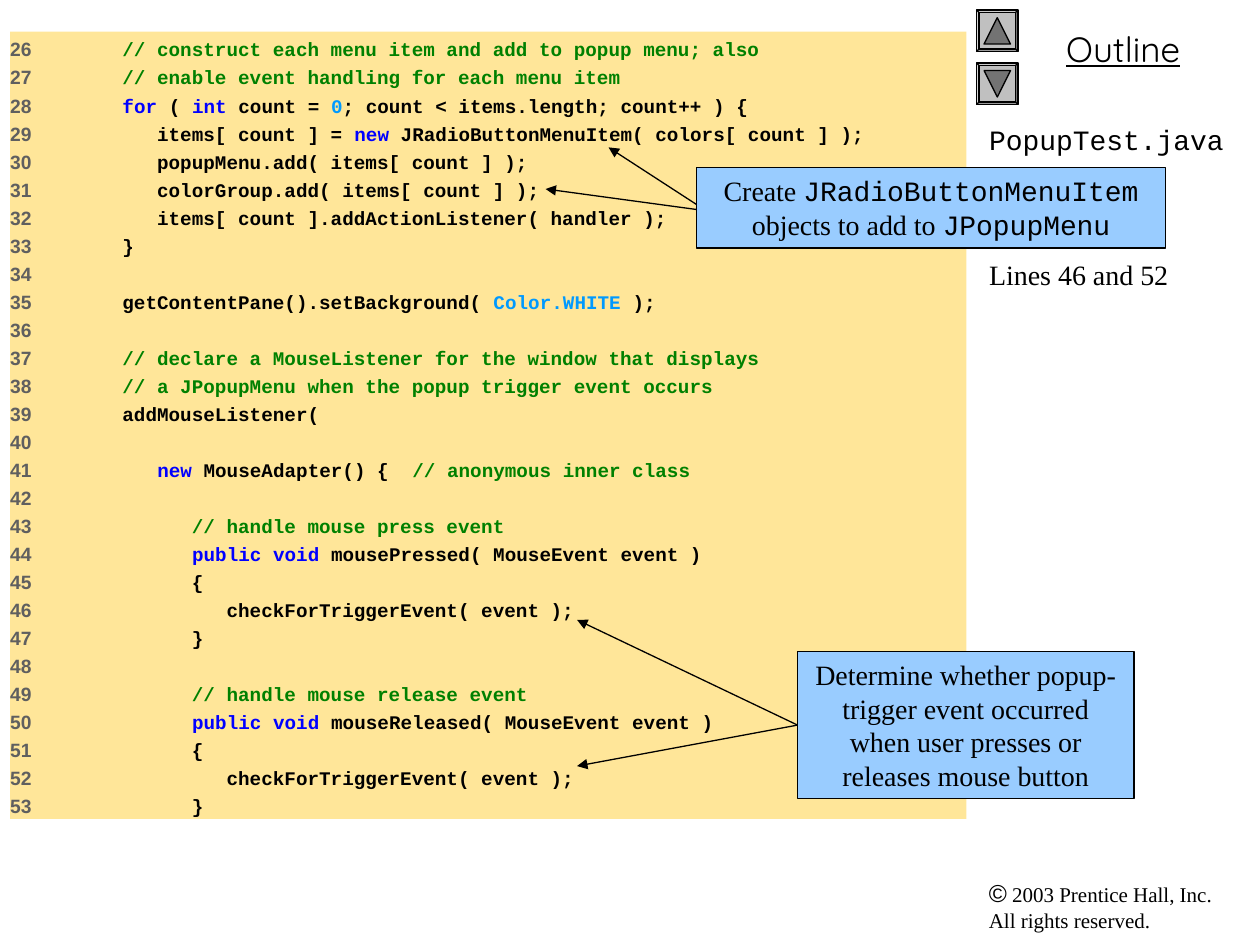
"""Build the PopupTest.java code slide with its callouts."""
from lxml.etree import SubElement
from pptx import Presentation
from pptx.dml.color import RGBColor
from pptx.enum.shapes import MSO_CONNECTOR, MSO_SHAPE
from pptx.enum.text import MSO_ANCHOR, PP_ALIGN
from pptx.oxml.ns import qn
from pptx.util import Inches, Pt


def color(text):
    return RGBColor.from_string(text)


def add_run(para, text, face, size, tint="000000", bold=False):
    run = para.add_run()
    run.text = text
    font = run.font
    font.name, font.size, font.bold = face, Pt(size), bold
    font.color.rgb = color(tint)
    return run


SERIF, MONO, SANS = "Times New Roman", "Courier New", "Arial"
BLUE, CYAN, GREEN = "0000FF", "0099FF", "008000"
TINTS = {"for": BLUE, "int": BLUE, "new": BLUE, "public void": BLUE,
         "0": CYAN, "Color.WHITE": CYAN}
CODE = [
    ["      // construct each menu item and add to popup menu; also"],
    ["      // enable event handling for each menu item"],
    ["      ", "for", " ( ", "int", " count = ", "0",
     "; count < items.length; count++ ) {"],
    ["         items[ count ] = ", "new",
     " JRadioButtonMenuItem( colors[ count ] );"],
    ["         popupMenu.add( items[ count ] );"],
    ["         colorGroup.add( items[ count ] );"],
    ["         items[ count ].addActionListener( handler );"],
    ["      }"],
    [],
    ["      getContentPane().setBackground( ", "Color.WHITE", " );"],
    [],
    ["      // declare a MouseListener for the window that displays"],
    ["      // a JPopupMenu when the popup trigger event occurs"],
    ["      addMouseListener("],
    [],
    ["         ", "new", " MouseAdapter() {  ", "// anonymous inner class"],
    [],
    ["            // handle mouse press event"],
    ["            ", "public void", " mousePressed( MouseEvent event )"],
    ["            {"],
    ["               checkForTriggerEvent( event );"],
    ["            }"],
    [],
    ["            // handle mouse release event"],
    ["            ", "public void", " mouseReleased( MouseEvent event )"],
    ["            {"],
    ["               checkForTriggerEvent( event );"],
    ["            }"],
]

deck = Presentation()
deck.slide_width, deck.slide_height = Inches(10), Inches(7.5)
slide = deck.slides.add_slide(deck.slide_layouts[5])
shapes = slide.shapes

title = shapes.title
title.left, title.top = Inches(7.75), Inches(0.92)
title.width, title.height = Inches(2.25), Inches(6)
frame = title.text_frame
frame.word_wrap = True
frame.vertical_anchor = MSO_ANCHOR.TOP
para = frame.paragraphs[0]
para.alignment = PP_ALIGN.LEFT
add_run(para, "PopupTest.java", MONO, 16)
para = frame.add_paragraph()
para.alignment = PP_ALIGN.LEFT
para.space_before = Pt(58)
add_run(para, "Lines 46 and 52", SERIF, 16)

footer = shapes.add_textbox(Inches(7.75), Inches(6.92), Inches(2.17), Inches(0.54))
footer.text_frame.word_wrap = True
para = footer.text_frame.paragraphs[0]
add_run(para, "©", SANS, 14)
add_run(para, " 2003 Prentice Hall, Inc.", SERIF, 12)
para.add_line_break()
add_run(para, "All rights reserved.", SERIF, 12)

label = shapes.add_textbox(Inches(7.83), Inches(0.17), Inches(2.17), Inches(0.44))
label.text_frame.word_wrap = True
para = label.text_frame.paragraphs[0]
para.alignment = PP_ALIGN.CENTER
add_run(para, "Outline", "Quicksand", 20).font.underline = True

for top, turn in ((0.08, 0), (0.5, 180)):
    button = shapes.add_shape(MSO_SHAPE.BEVEL, Inches(7.75), Inches(top),
                              Inches(0.33), Inches(0.33))
    button.adjustments[0] = 0.06
    arrow = shapes.add_shape(MSO_SHAPE.ISOSCELES_TRIANGLE, Inches(7.81),
                             Inches(top + 0.06), Inches(0.21), Inches(0.21))
    arrow.rotation = turn
    for part, fill in ((button, "C0C0C0"), (arrow, "737373")):
        part.shadow.inherit = False
        part.fill.solid()
        part.fill.fore_color.rgb = color(fill)
        part.line.color.rgb = color("000000")
        part.line.width = Pt(0.75)

panel = shapes.add_shape(MSO_SHAPE.RECTANGLE, Inches(0.08), Inches(0.25),
                         Inches(7.59), Inches(6.25))
panel.shadow.inherit = False
panel.fill.solid()
panel.fill.fore_color.rgb = color("FFE699")
panel.line.fill.background()
frame = panel.text_frame
frame.word_wrap = True
frame.margin_left = 0
frame.vertical_anchor = MSO_ANCHOR.TOP
for row, parts in enumerate(CODE):
    para = frame.add_paragraph() if row else frame.paragraphs[0]
    para.alignment = PP_ALIGN.LEFT
    para.space_before = Pt(2.8 if row else 0)
    tabs = SubElement(para._p.get_or_add_pPr(), qn("a:tabLst"))
    SubElement(tabs, qn("a:tab"), pos=str(Inches(0.34)), algn="l")
    para.font.name, para.font.size = MONO, Pt(11)
    add_run(para, f"{row + 26}" + ("\t" if parts else ""), SANS, 11, "5F5F5F", True)
    for part in parts:
        note = part.lstrip().startswith("//")
        tint = GREEN if note else TINTS.get(part, "000000")
        add_run(para, part, MONO, 11, tint, True)

lines = [shapes.add_connector(MSO_CONNECTOR.STRAIGHT, *map(Inches, ends))
         for ends in ((5.6, 1.67, 4.83, 1.17), (5.58, 1.67, 4.33, 1.5),
                      (6.33, 5.75, 4.58, 4.92), (6.33, 5.75, 4.58, 6.08))]
for line in lines:
    line.line.color.rgb = color("000000")
    line.line.width = Pt(0.75)
    SubElement(line.line._get_or_add_ln(), qn("a:tailEnd"), type="triangle")
    SubElement(line._element.spPr, qn("a:effectLst"))

CALLS = [
    ((5.53, 1.33, 3.72, 0.64),
     [("Create ", SERIF), ("JRadioButtonMenuItem", MONO),
      (" objects to add to ", SERIF), ("JPopupMenu", MONO)]),
    ((6.33, 5.17, 2.67, 1.17),
     [("Determine whether popup-trigger event occurred when user presses "
       "or releases mouse button", SERIF)]),
]
for place, runs in CALLS:
    call = shapes.add_shape(MSO_SHAPE.RECTANGLE, *map(Inches, place))
    call.shadow.inherit = False
    call.fill.solid()
    call.fill.fore_color.rgb = color("99CCFF")
    call.line.color.rgb = color("000000")
    call.line.width = Pt(0.75)
    frame = call.text_frame
    frame.word_wrap = True
    frame.vertical_anchor = MSO_ANCHOR.TOP
    para = frame.paragraphs[0]
    para.alignment = PP_ALIGN.CENTER
    for text, face in runs:
        add_run(para, text, face, 16)
for line in lines[2:]:
    line.begin_connect(call, 1)

deck.save("out.pptx")
